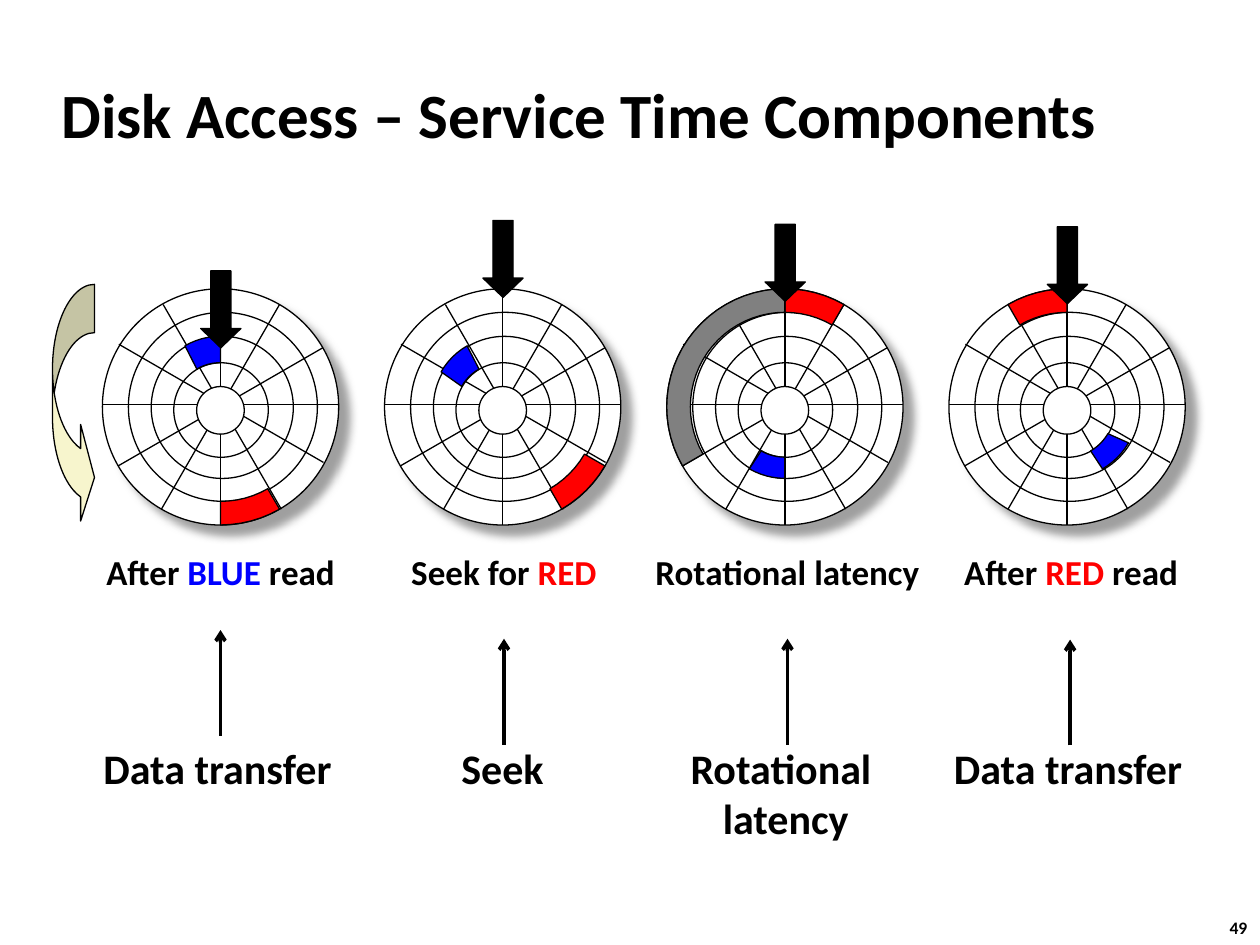
from math import cos, radians, sin

from lxml.etree import SubElement
from pptx import Presentation
from pptx.dml.color import RGBColor
from pptx.enum.shapes import MSO_CONNECTOR, MSO_SHAPE
from pptx.enum.text import MSO_ANCHOR, MSO_AUTO_SIZE, PP_ALIGN
from pptx.oxml import parse_xml
from pptx.oxml.ns import nsdecls, qn
from pptx.util import Pt

BLACK, WHITE, RED, BLUE, GRAY = "000000", "FFFFFF", "FF0000", "0000FF", "808080"


def paint(sp, line_width=0.75, fill=None):
    """Black outline, optional fill, no shadow."""
    sp.line.color.rgb = RGBColor.from_string(BLACK)
    sp.line.width = Pt(line_width)
    if fill:
        sp.shadow.inherit = False
        sp.fill.solid()
        sp.fill.fore_color.rgb = RGBColor.from_string(fill)
    else:
        SubElement(sp._element.spPr, qn("a:effectLst"))


def write(tf, paragraphs, size, align, wrap=True):
    """Fill a text frame with paragraphs given as lists of (text, colour)."""
    tf.word_wrap = wrap
    for i, runs in enumerate(paragraphs):
        p = tf.paragraphs[0] if i == 0 else tf.add_paragraph()
        p.alignment = align
        for text, color in runs:
            r = p.add_run()
            r.text = text
            r.font.name = "Calibri"
            r.font.size = Pt(size)
            r.font.bold = True
            r.font.color.rgb = RGBColor.from_string(color)


prs = Presentation()
prs.slide_width, prs.slide_height = Pt(720), Pt(540)
s = prs.slides.add_slide(prs.slide_layouts[5])

# Title
title = s.shapes.title
title.left, title.top, title.width, title.height = Pt(28), Pt(34.5), Pt(637), Pt(60)
tf = title.text_frame
tf.auto_size = MSO_AUTO_SIZE.NONE
tf.vertical_anchor = MSO_ANCHOR.MIDDLE
write(tf, [[("Disk Access – Service Time Components", BLACK)]], 36, PP_ALIGN.LEFT)

# Disks: rings are (radius, x offset, y offset), outermost first
CX, CY, PITCH = 126, 232.5, 161.25
RINGS = [(67.5, 0, 0), (54, 1.4, 0), (40.6, 1, 0.3), (27, 0.3, 1.8)]
HUB = (13.6, 0, 2)
# Spokes are (angle, x offset, y offset)
SPOKES = [(90, 0, 0), (60, 0, 0), (30, 0, 0), (0, 0, -1.4), (-30, 0.4, -2), (-60, 1, 0)]
# Sectors are (outer ring, start, end, colour), clockwise degrees from the top
disks = [
    (154.8, [(2, -30, 0, BLUE), (0, 150, 180, RED)]),
    (126, [(0, 120, 150, RED), (2, -60, -30, BLUE)]),
    (128.2, [(0, 0, 30, RED), (2, 180, 210, BLUE), (0, 240, 360, GRAY)]),
    (129.6, [(0, -30, 0, RED), (2, 120, 150, BLUE)]),
]

for i, (head_top, sectors) in enumerate(disks):
    cx = CX + i * PITCH
    disk = s.shapes.add_group_shape()

    # Tracks, spokes and hub
    circles = []
    for radius, dx, dy in RINGS + [HUB]:
        sp = disk.shapes.add_shape(
            MSO_SHAPE.OVAL, Pt(cx + dx - radius), Pt(CY + dy - radius),
            Pt(2 * radius), Pt(2 * radius))
        paint(sp, fill=WHITE)
        circles.append(sp)
    effects = circles[0]._element.spPr.find(qn("a:effectLst"))
    effects.append(parse_xml(
        f'<a:outerShdw {nsdecls("a")} blurRad="{Pt(5)}" dist="{Pt(8.5)}" '
        'dir="2700000" algn="ctr" rotWithShape="0"><a:srgbClr val="808080">'
        '<a:alpha val="75000"/></a:srgbClr></a:outerShdw>'))
    for angle, dx, dy in SPOKES:
        x, y = 67.5 * cos(radians(angle)), 67.5 * sin(radians(angle))
        spoke = disk.shapes.add_connector(
            MSO_CONNECTOR.STRAIGHT, Pt(cx + dx + x), Pt(CY + dy - y),
            Pt(cx + dx - x), Pt(CY + dy + y))
        paint(spoke)
        circles[-1]._element.addprevious(spoke._element)

    # Coloured sectors
    for ring, start, end, color in sectors:
        angles = range(start, end + 1, 5)
        points = []
        for (radius, _, dy), arc in ((RINGS[ring], angles),
                                     (RINGS[ring + 1], reversed(angles))):
            points += [(Pt(cx + radius * sin(radians(a))),
                        Pt(CY + dy - radius * cos(radians(a)))) for a in arc]
        builder = disk.shapes.build_freeform(*points[0])
        builder.add_line_segments(points[1:], close=True)
        paint(builder.convert_to_shape(), fill=color)

    # Read/write head
    head = disk.shapes.add_shape(
        MSO_SHAPE.DOWN_ARROW, Pt(cx - 11.3), Pt(head_top), Pt(23), Pt(44))
    head.adjustments[0], head.adjustments[1] = 0.5, 0.48
    paint(head, fill=BLACK)

# Rotation direction
turn = s.shapes.add_shape(
    MSO_SHAPE.CURVED_RIGHT_ARROW, Pt(30), Pt(162.5), Pt(24), Pt(138))
for i, value in enumerate((1.15, 2.3, 0.33)):
    turn.adjustments[i] = value
paint(turn, fill="F7F5CD")

# Captions, component names and slide number: left, top, width, height, size, align, wrap
C, L = PP_ALIGN.CENTER, PP_ALIGN.LEFT
texts = [
    (42, 311, 168, 31, 20, C, True, [[("After ", BLACK), ("BLUE ", BLUE), ("read", BLACK)]]),
    (216, 311, 144, 31, 20, C, True, [[("Seek for ", BLACK), ("RED", RED)]]),
    (354, 311, 192, 31, 20, C, True, [[("Rotational latency", BLACK)]]),
    (528, 311, 168, 31, 20, C, True, [[("After ", BLACK), ("RED", RED), (" read", BLACK)]]),
    (52, 420.5, 146, 36, 24, L, False, [[("Data transfer", BLACK)]]),
    (256.5, 420.5, 62, 36, 24, L, False, [[("Seek", BLACK)]]),
    (384, 420.5, 130, 65.5, 24, C, True, [[("Rotational ", BLACK)], [("latency", BLACK)]]),
    (538, 420.5, 146, 36, 24, L, False, [[("Data transfer", BLACK)]]),
    (695.5, 520.5, 27, 19.5, 10, L, False, [[("49", BLACK)]]),
]
for left, top, width, height, size, align, wrap, paragraphs in texts:
    box = s.shapes.add_textbox(Pt(left), Pt(top), Pt(width), Pt(height))
    box.text_frame.auto_size = MSO_AUTO_SIZE.SHAPE_TO_FIT_TEXT
    write(box.text_frame, paragraphs, size, align, wrap)

# Arrows from component names to captions
for x, bottom in ((126, 420.5), (288, 425.5), (450, 425.5), (611.5, 426)):
    arrow = s.shapes.add_connector(
        MSO_CONNECTOR.STRAIGHT, Pt(x), Pt(bottom), Pt(x), Pt(bottom - 60.5))
    paint(arrow, line_width=2)
    SubElement(arrow.line._get_or_add_ln(), qn("a:tailEnd"), type="arrow")

prs.save("out.pptx")
